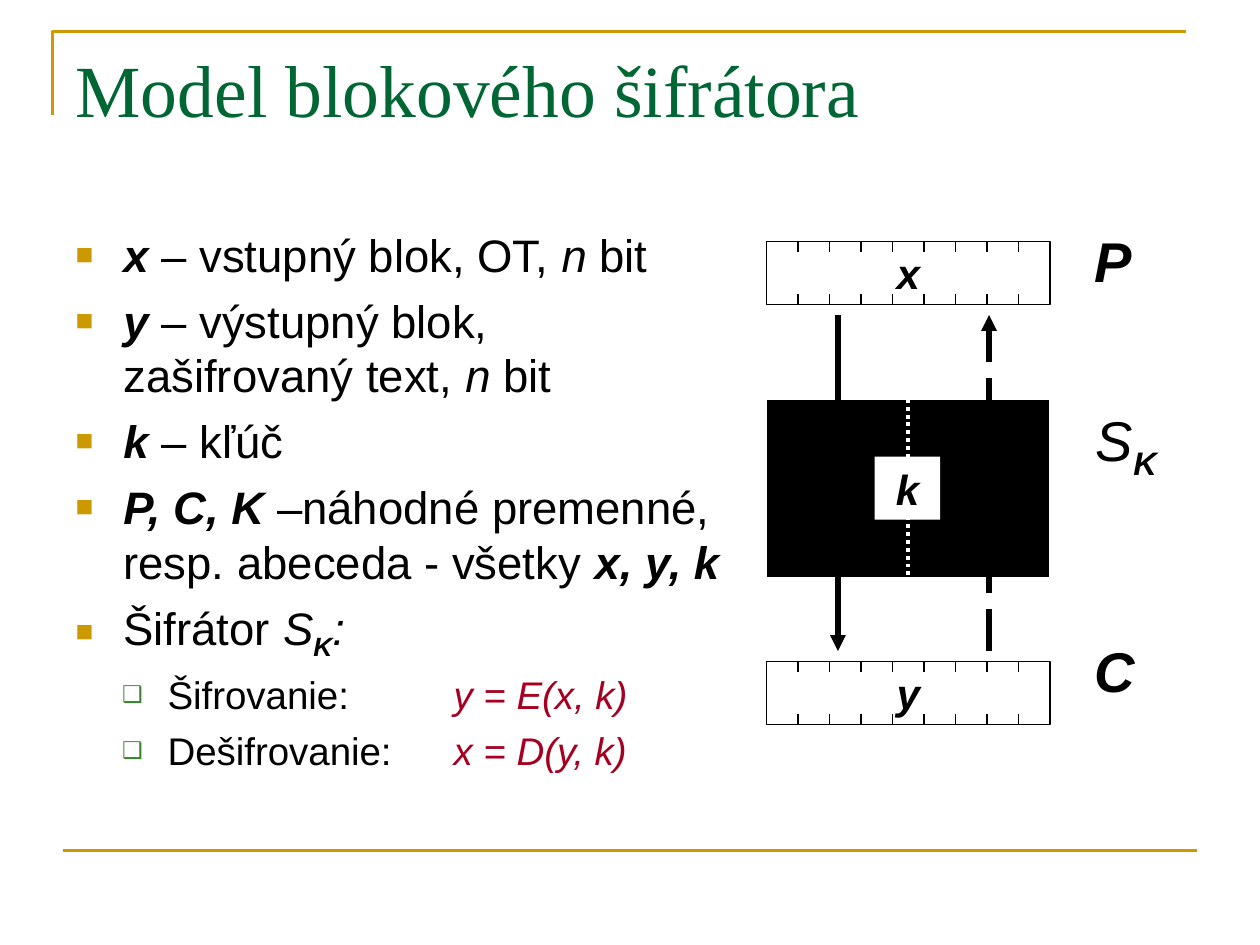
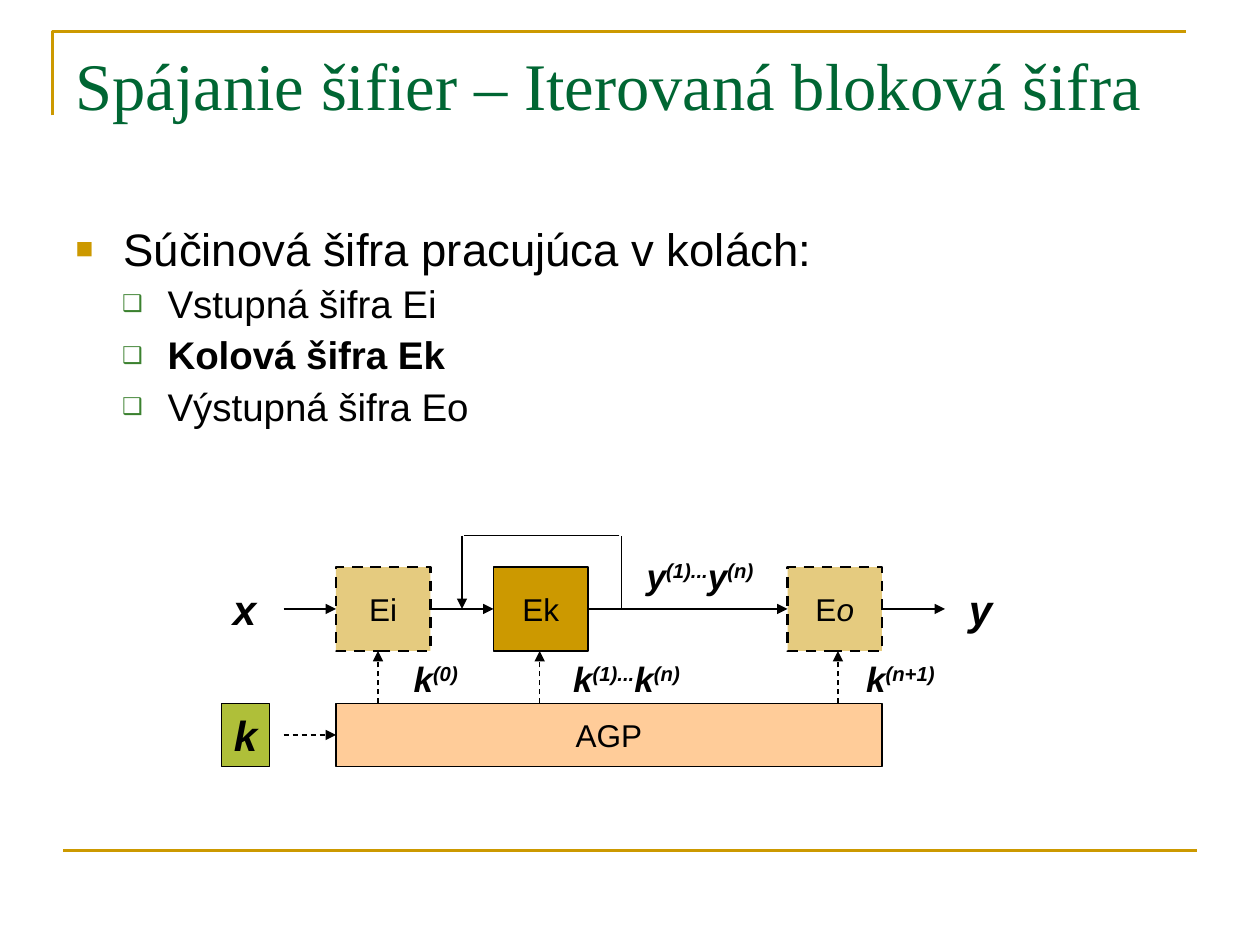
from dataclasses import dataclass
from typing import Any, Optional

from lxml import etree
from pptx import Presentation, util as u
from pptx.dml.color import RGBColor
from pptx.enum import dml, shapes, text
from pptx.oxml.ns import qn

GOLD = RGBColor(0xCC, 0x99, 0x00)
GREEN = RGBColor(0x00, 0x66, 0x33)
LEAF = RGBColor(0x3B, 0x81, 0x2F)
LIME = RGBColor(0xAF, 0xBF, 0x39)
PEACH = RGBColor(0xFF, 0xCC, 0x99)
RED = RGBColor(0xA5, 0x00, 0x21)
BLACK = RGBColor(0, 0, 0)
WHITE = RGBColor(0xFF, 0xFF, 0xFF)

SANS, SERIF = "Arial", "Times New Roman"
WIDE, HIGH = u.Inches(10), u.Inches(7.5)
COLS, ROWS = 120, 90  # grid cells across and down the slide
DASH = dml.MSO_LINE.DASH
Runs = list[tuple[str, str]]  # text and marks: b, i, r = red, _ = low, ^ = high


@dataclass
class Item:
    runs: Runs
    level: int = 0


@dataclass
class Level:
    size: int
    mark: str
    color: RGBColor
    share: int
    left: float
    hang: float
    before: float


@dataclass
class Pen:
    color: RGBColor = BLACK
    width: float = 0.75
    dash: Any = None
    head: bool = False


@dataclass
class Box:
    x: float
    y: float
    w: float
    h: float
    runs: Runs
    size: int = 18
    fill: Optional[RGBColor] = None
    pen: Optional[Pen] = None
    alpha: int = 100
    middle: bool = True
    wrap: bool = False


LEVELS = [
    Level(26, "■", GOLD, 65, 0.38, 0.38, 6.5),
    Level(22, "❑", LEAF, 60, 0.73, 0.36, 5.5),
]
THIN, ARROW = Pen(), Pen(head=True)
DASHED = Pen(dash=DASH, head=True)
EDGE = Pen(width=1.5, dash=DASH)


def col(n: float) -> int:
    return round(WIDE * n / COLS)


def row(n: float) -> int:
    return round(HIGH * n / ROWS)


def put(obj: Any, **values: Any) -> None:
    """Set each named attribute on obj."""
    for name, value in values.items():
        setattr(obj, name, value)


def area(x: float, y: float, w: float, h: float) -> tuple[int, int, int, int]:
    return col(x), row(y), col(w), row(h)


def place(shape: Any, x: float, y: float, w: float, h: float) -> None:
    put(shape, **dict(zip(("left", "top", "width", "height"), area(x, y, w, h))))


def node(parent: Any, tag: str, **attrs: Any) -> Any:
    values = {key: str(value) for key, value in attrs.items()}
    return etree.SubElement(parent, qn(f"a:{tag}"), values)


def stroke(line: Any, pen: Pen) -> None:
    line.color.rgb = pen.color
    line.width = u.Pt(pen.width)
    if pen.dash:
        line.dash_style = pen.dash
    if pen.head:
        node(line._get_or_add_ln(), "tailEnd", type="triangle")


def write(para: Any, runs: Runs, size: int, color: RGBColor = BLACK,
          face: str = SANS) -> None:
    for words, marks in runs:
        run = para.add_run()
        run.text = words
        put(run.font, name=face, size=u.Pt(size), bold="b" in marks,
            italic="i" in marks)
        run.font.color.rgb = RED if "r" in marks else color
        for mark, shift in (("_", -25000), ("^", 30000)):
            if mark in marks:
                run.font._element.set("baseline", str(shift))


def link(slide: Any, x1: float, y1: float, x2: float, y2: float,
         pen: Pen = THIN) -> None:
    line = slide.shapes.add_connector(
        shapes.MSO_CONNECTOR.STRAIGHT, col(x1), row(y1), col(x2), row(y2))
    stroke(line.line, pen)
    node(line._element.spPr, "effectLst")


def draw(slide: Any, box: Box) -> None:
    """Draw a filled or outlined box, or a plain label when it has neither."""
    spot = area(box.x, box.y, box.w, box.h)
    plain = not (box.fill or box.pen)
    if plain:
        shape = slide.shapes.add_textbox(*spot)
    else:
        shape = slide.shapes.add_shape(shapes.MSO_SHAPE.RECTANGLE, *spot)
        shape.shadow.inherit = False
        if box.fill is None:
            shape.fill.background()
        else:
            shape.fill.solid()
            shape.fill.fore_color.rgb = box.fill
        if box.alpha < 100:
            tint = shape._element.spPr.find(".//" + qn("a:srgbClr"))
            node(tint, "alpha", val=box.alpha * 1000)
        if box.pen:
            stroke(shape.line, box.pen)
        else:
            shape.line.fill.background()
    mid = box.middle and not plain
    size = text.MSO_AUTO_SIZE
    put(shape.text_frame, word_wrap=box.wrap,
        auto_size=size.SHAPE_TO_FIT_TEXT if plain else size.NONE,
        vertical_anchor=text.MSO_ANCHOR.MIDDLE if mid else text.MSO_ANCHOR.TOP)
    para = shape.text_frame.paragraphs[0]
    para.alignment = text.PP_ALIGN.CENTER if mid else text.PP_ALIGN.LEFT
    write(para, box.runs, box.size)


def label(slide: Any, x: float, y: float, w: float, h: float, runs: Runs,
          size: int) -> None:
    draw(slide, Box(x, y, w, h, runs, size))


def frame(slide: Any) -> None:
    """Draw the gold corner and the base line."""
    pen = Pen(GOLD, 1.5)
    path = slide.shapes.build_freeform(col(5), row(11))
    path.add_line_segments([(col(5), row(3)), (col(113), row(3))], close=False)
    corner = path.convert_to_shape()
    corner.shadow.inherit = False
    corner.fill.background()
    stroke(corner.line, pen)
    link(slide, 6, 81, 114, 81, pen)


def bullet(para: Any, item: Item) -> None:
    level = LEVELS[item.level]
    props = para._p.get_or_add_pPr()
    props.set("marL", str(u.Inches(level.left)))
    props.set("indent", str(-u.Inches(level.hang)))
    node(node(props, "buClr"), "srgbClr", val=level.color)
    node(props, "buSzPct", val=level.share * 1000)
    node(props, "buFont", typeface=SANS)
    node(props, "buChar", char=level.mark)
    tabs = node(props, "tabLst")
    for inch in range(1, 9):
        node(tabs, "tab", pos=u.Inches(inch), algn="l")


def page(deck: Any, title: str, size: int, items: list[Item], width: float,
         height: float, pitch: float = 1.0) -> Any:
    """Add a slide with frame, title and bullet list."""
    slide = deck.slides.add_slide(deck.slide_layouts[1])
    frame(slide)
    head, body = slide.placeholders
    place(head, 6, 3.6, 108, 15)
    place(body, 6, 21, width, height)
    for part in (head, body):
        put(part.text_frame, word_wrap=True, auto_size=text.MSO_AUTO_SIZE.NONE,
            vertical_anchor=text.MSO_ANCHOR.TOP)
    para = head.text_frame.paragraphs[0]
    para.alignment = text.PP_ALIGN.LEFT
    write(para, [(title, "")], size, GREEN, SERIF)
    for n, item in enumerate(items):
        frm = body.text_frame
        para = frm.add_paragraph() if n else frm.paragraphs[0]
        bullet(para, item)
        level = LEVELS[item.level]
        put(para, level=item.level, line_spacing=pitch,
            space_before=u.Pt(level.before if n else 0))
        write(para, item.runs, level.size)
    return slide


def block(slide: Any, top: float, name: str) -> None:
    """Draw a block of bits with ticks on both long sides."""
    draw(slide, Box(73, top, 27, 6, [(name, "bi")], 24, pen=THIN))
    for x in range(76, 100, 3):
        for y in (top, top + 5):
            link(slide, x, y, x, y + 1)


def model(deck: Any) -> None:
    slide = page(deck, "Model blokového šifrátora", 42, [
        Item([("x ", "bi"), ("– vstupný blok, OT, ", ""), ("n", "i"), (" bit", "")]),
        Item([("y ", "bi"), ("– výstupný blok, zašifrovaný text, ", ""),
              ("n", "i"), (" bit", "")]),
        Item([("k ", "bi"), ("– kľúč", "")]),
        Item([("P, C, K ", "bi"),
              ("–náhodné premenné, resp. abeceda - všetky ", ""),
              ("x, y, k", "bi")]),
        Item([("Šifrátor ", ""), ("S", "i"), ("K", "bi_"), (":", "i")]),
        Item([("Šifrovanie: \t", ""), ("y = E(x, k)", "ir")], 1),
        Item([("Dešifrovanie: \t", ""), ("x = D(y, k)", "ir")], 1),
    ], 64, 59)
    draw(slide, Box(73, 38, 27, 17, [], fill=BLACK, pen=Pen(WHITE)))
    link(slide, 86.5, 38, 86.5, 55, Pen(WHITE, 2.25, dml.MSO_LINE.ROUND_DOT))
    draw(slide, Box(83.3, 43.5, 6.25, 6, [("k", "bi")], 24, WHITE, wrap=True))
    link(slide, 79.8, 30, 79.8, 62, Pen(width=3, head=True))
    link(slide, 94.2, 62, 94.2, 30, Pen(BLACK, 3, dml.MSO_LINE.LONG_DASH, True))
    block(slide, 63, "y")
    block(slide, 23, "x")
    label(slide, 103.2, 38, 8.2, 8.5, [("S", "i"), ("K", "bi_")], 32)
    label(slide, 103.1, 21, 5.9, 7.7, [("P", "bi")], 32)
    label(slide, 103.1, 60, 6.2, 7.7, [("C", "bi")], 32)


def power(*pairs: tuple[str, str]) -> Runs:
    """Pair each letter with its raised index."""
    return [run for name, index in pairs
            for run in ((name, "bi"), (index, "bi^"))]


def rounds(deck: Any) -> None:
    slide = page(deck, "Spájanie šifier – Iterovaná bloková šifra", 38, [
        Item([("Súčinová šifra pracujúca v kolách:", "")]),
        Item([("Vstupná šifra Ei", "")], 1),
        Item([("Kolová šifra Ek", "b")], 1),
        Item([("Výstupná šifra Eo", "")], 1),
    ], 108, 21, 0.9)
    for x, runs, pen, alpha in (
            (32, [("Ei", "")], EDGE, 50),
            (47, [("Ek", "")], THIN, 100),
            (75, [("E", ""), ("o", "i")], EDGE, 50)):
        draw(slide, Box(x, 54, 9, 8, runs, 18, GOLD, pen, alpha))
    for start, end in ((27, 32), (41, 47), (56, 75), (84, 90)):
        link(slide, start, 58, end, 58, ARROW)
    draw(slide, Box(32, 67, 52, 6, [("AGP", "")], 18, PEACH, THIN))
    for x in (36, 51.4, 79.8):
        link(slide, x, 67, x, 62, DASHED)
    draw(slide, Box(21.1, 67, 4.6, 6, [("k", "bi")], 24, LIME, THIN, middle=False))
    link(slide, 27, 70, 32, 70, DASHED)
    link(slide, 59.2, 58, 59.2, 51)
    link(slide, 59, 51, 44.2, 51)
    link(slide, 44, 51, 44, 58, ARROW)
    for x, name in ((21, "x"), (91.1, "y")):
        label(slide, x, 55, 4.6, 6, [(name, "bi")], 24)
    for x, y, w, runs in (
            (38.2, 62, 6.8, power(("k", "(0)"))),
            (53.4, 62, 12.8, power(("k", "(1)..."), ("k", "(n)"))),
            (81.3, 62, 9.4, power(("k", "(n+1)"))),
            (60.4, 52.2, 12.8, power(("y", "(1)..."), ("y", "(n)")))):
        label(slide, x, y, w, 5.3, runs, 20)


def main() -> None:
    deck = Presentation()
    put(deck, slide_width=WIDE, slide_height=HIGH)
    model(deck)
    rounds(deck)
    deck.save("out.pptx")


if __name__ == "__main__":
    main()
